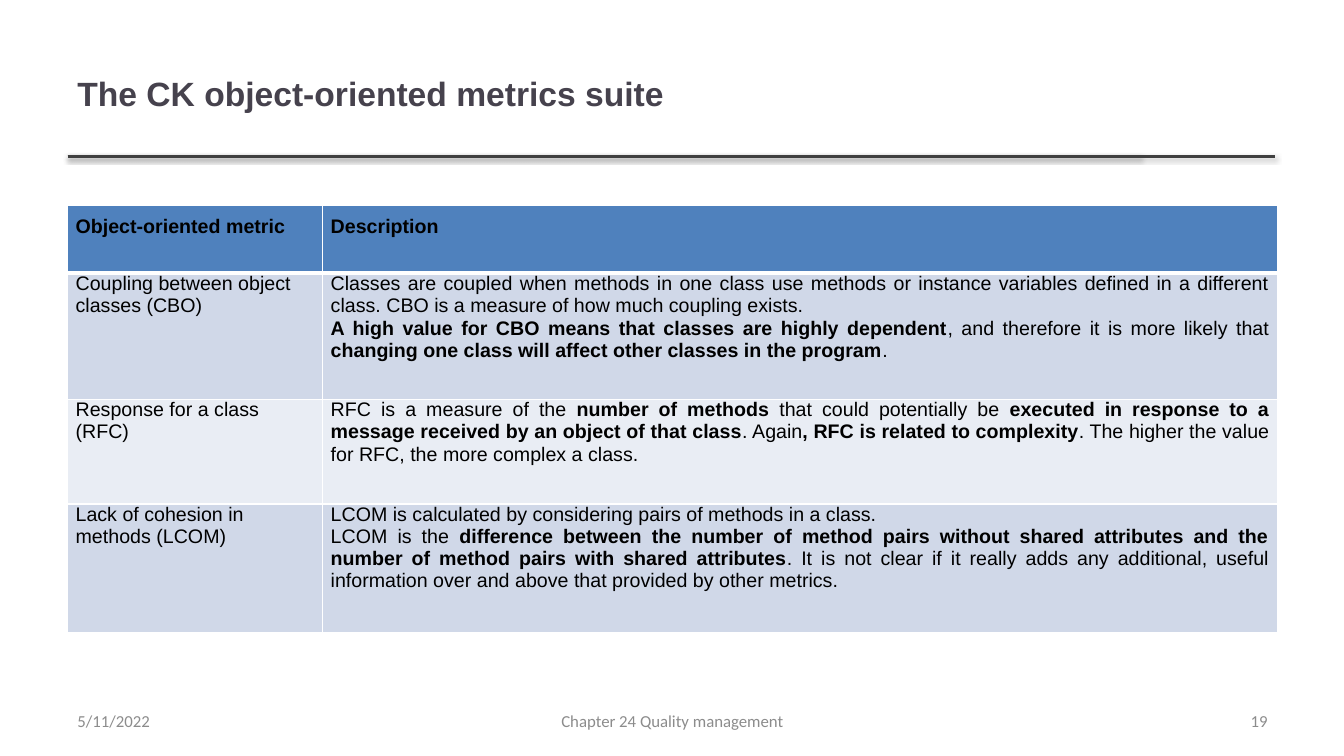
from pptx import Presentation
from pptx.util import Inches, Pt
from pptx.dml.color import RGBColor as RGB
from pptx.enum.shapes import MSO_CONNECTOR as LINK
from pptx.enum.text import PP_ALIGN as AL, MSO_ANCHOR as ANC
from pptx.oxml import parse_xml
from pptx.oxml.ns import nsdecls

HUE = {"title": "46424D", "rule": "404040", "head": "4F81BD", "odd": "D0D8E8",
       "even": "E9EDF4", "text": "000000", "foot": "8C8C8C", "edge": "FFFFFF"}

TITLE = "The CK object-oriented metrics suite"
HEAD = ("*Object-oriented metric*", ["*Description*"])
METRICS = [
    ("Coupling between object classes (CBO)", [
        "Classes are coupled when methods in one class use methods or instance "
        "variables defined in a different class. CBO is a measure of how much "
        "coupling exists.",
        "*A high value for CBO means that classes are highly dependent*, and "
        "therefore it is more likely that *changing one class will affect other "
        "classes in the program*."]),
    ("Response for a class (RFC)", [
        "RFC is a measure of the *number of methods *that could potentially be "
        "*executed in response to a message received by an object of that class*"
        ". Again*, RFC is related to complexity*. The higher the value for RFC, "
        "the more complex a class."]),
    ("Lack of cohesion in methods (LCOM)", [
        "LCOM is calculated by considering pairs of methods in a class.",
        "LCOM is the *difference between the number of method pairs without "
        "shared attributes and the number of method pairs with shared "
        "attributes*. It is not clear if it really adds any additional, useful "
        "information over and above that provided by other metrics."]),
]
FOOT = [("5/11/2022", 0.67, 3.11, AL.LEFT),
        ("Chapter 24 Quality management", 4.56, 4.22, AL.CENTER),
        ("19", 9.56, 3.11, AL.RIGHT)]

LEFT, RULE_Y = 0.67, 1.55
RULE_ENDS = [11.32, 12.65]
TOP = 2.04
COLS = [2.53, 9.47]
ROWS = [0.67, 1.25, 1.04, 1.28]

deck = Presentation()
deck.slide_width, deck.slide_height = Inches(13.33), Inches(7.5)
slide = deck.slides.add_slide(deck.slide_layouts[6])


def write(para, text, size, font, hue, align):
    para.alignment = align
    for i, part in enumerate(text.split("*")):
        if part:
            run = para.add_run()
            run.text = part
            run.font.size, run.font.name = Pt(size), font
            run.font.bold = i % 2 == 1
            run.font.color.rgb = RGB.from_string(HUE[hue])


def label(text, x, y, w, h, size, font, hue, align):
    frame = slide.shapes.add_textbox(*map(Inches, (x, y, w, h))).text_frame
    frame.word_wrap = True
    frame.vertical_anchor = ANC.MIDDLE
    write(frame.paragraphs[0], text, size, font, hue, align)


def rule(end):
    line = slide.shapes.add_connector(
        LINK.STRAIGHT, *map(Inches, (LEFT, RULE_Y, end, RULE_Y)))
    line.line.color.rgb = RGB.from_string(HUE["rule"])
    line.line.width = Pt(2)
    line._element.spPr.append(parse_xml(
        f'<a:effectLst {nsdecls("a")}><a:outerShdw blurRad="{Pt(3.1)}" '
        f'dist="{Pt(1.6)}" dir="5400000" rotWithShape="0"><a:srgbClr val="000000">'
        '<a:alpha val="38000"/></a:srgbClr></a:outerShdw></a:effectLst>'))


def edge(cell, base):
    props = cell._tc.get_or_add_tcPr()
    for side, width in zip("LRTB", (1, 1, 1, base)):
        props.append(parse_xml(
            f'<a:ln{side} {nsdecls("a")} w="{Pt(width)}"><a:solidFill>'
            f'<a:srgbClr val="{HUE["edge"]}"/></a:solidFill></a:ln{side}>'))


def fill(cell, paras, hue, align, top, base):
    edge(cell, base)
    cell.fill.solid()
    cell.fill.fore_color.rgb = RGB.from_string(HUE[hue])
    cell.margin_left = cell.margin_right = Inches(0.08)
    cell.margin_top, cell.margin_bottom = Inches(top), Inches(0.1)
    frame = cell.text_frame
    for i, text in enumerate(paras):
        para = frame.add_paragraph() if i else frame.paragraphs[0]
        write(para, text, 14, "Arial", "text", align)


for end in RULE_ENDS:
    rule(end)
label(f"*{TITLE}*", LEFT, 0.3, 10.63, 1.25, 24, "Arial", "title", AL.LEFT)

grid = slide.shapes.add_table(
    len(ROWS), len(COLS),
    *map(Inches, (LEFT, TOP, sum(COLS), sum(ROWS)))).table
for col, width in zip(grid.columns, COLS):
    col.width = Inches(width)
for row, height in zip(grid.rows, ROWS):
    row.height = Inches(height)
for r, (name, about) in enumerate([HEAD] + METRICS):
    hue = ("odd" if r % 2 else "even") if r else "head"
    top, base = (0, 1) if r else (0.1, 3)
    fill(grid.cell(r, 0), [name], hue, AL.LEFT if r else AL.JUSTIFY, top, base)
    fill(grid.cell(r, 1), about, hue, AL.JUSTIFY, top, base)

for text, x, width, align in FOOT:
    label(text, x, 6.95, width, 0.4, 12, "Calibri", "foot", align)

deck.save("out.pptx")
